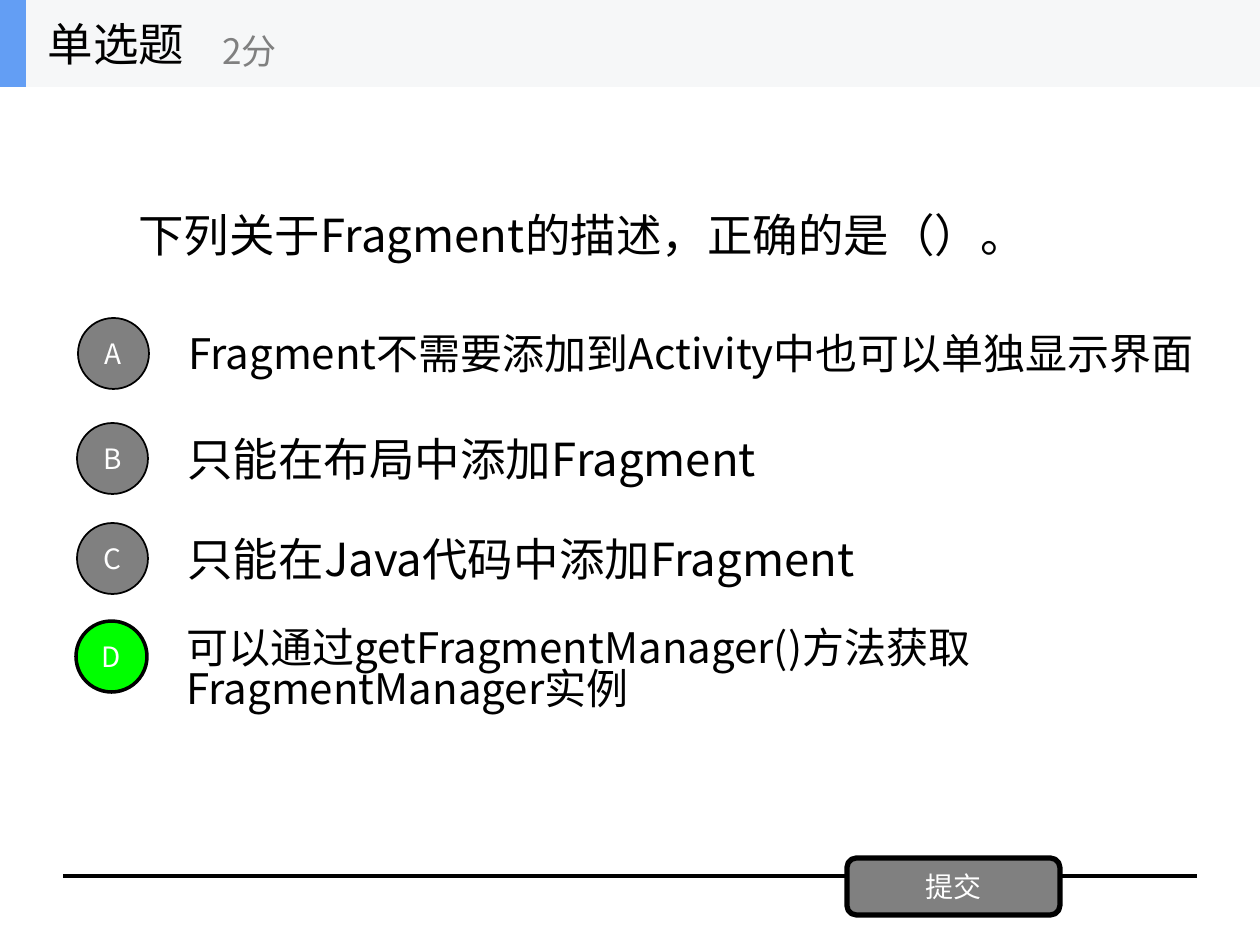
from pptx import Presentation
from pptx.dml.color import RGBColor
from pptx.enum.shapes import MSO_CONNECTOR, MSO_SHAPE
from pptx.enum.text import MSO_ANCHOR, MSO_AUTO_SIZE, PP_ALIGN
from pptx.oxml.ns import qn
from pptx.util import Emu, Inches, Pt
from lxml.etree import SubElement

BLACK, GREY, WHITE, GREEN = "000000", "808080", "FFFFFF", "00FF00"
PANEL, BLUE = "F6F7F8", "639EF4"


def px(num):
    return Emu(round(num * 914400 / 126))


def paint(fill, tone):
    fill.solid()
    fill.fore_color.rgb = RGBColor.from_string(tone)


class Quiz:
    """Draw the parts of a quiz slide in one style."""

    font = "Noto Sans CJK SC"

    def __init__(self, slide):
        self.slide = slide

    def letter(self, shape, lines, size, tone, align=PP_ALIGN.LEFT, wrap=False, pitch=None):
        frame = shape.text_frame
        frame.auto_size = MSO_AUTO_SIZE.NONE
        frame.word_wrap = wrap
        frame.vertical_anchor = MSO_ANCHOR.MIDDLE
        for i, line in enumerate(lines):
            para = frame.add_paragraph() if i else frame.paragraphs[0]
            para.alignment = align
            para.space_before = Pt(0)
            if pitch:
                para.line_spacing = pitch
            run = para.add_run()
            run.text = line
            run.font.size = Pt(size)
            run.font.name = self.font
            paint(run.font.fill, tone)
            SubElement(run._r.get_or_add_rPr(), qn("a:ea"), typeface=self.font)

    def text(self, box, lines, size, tone=BLACK, **style):
        shape = self.slide.shapes.add_textbox(*map(px, box))
        self.letter(shape, lines, size, tone, **style)

    def title(self, box, line, size):
        shape = self.slide.shapes.title
        shape.left, shape.top, shape.width, shape.height = map(px, box)
        self.letter(shape, [line], size, BLACK)
        shape.element.getparent().append(shape.element)

    def shape(self, kind, box, fill, edge=0, label=None):
        shape = self.slide.shapes.add_shape(kind, *map(px, box))
        shape.shadow.inherit = False
        paint(shape.fill, fill)
        if edge:
            paint(shape.line.fill, BLACK)
            shape.line.width = Pt(edge)
        else:
            shape.line.fill.background()
        if label:
            frame = shape.text_frame
            frame.margin_left = frame.margin_right = 0
            frame.margin_top = frame.margin_bottom = 0
            self.letter(shape, [label], 16, WHITE, PP_ALIGN.CENTER, True)

    def rule(self, left, right, top, width):
        line = self.slide.shapes.add_connector(
            MSO_CONNECTOR.STRAIGHT, px(left), px(top), px(right), px(top))
        paint(line.line.fill, BLACK)
        line.line.width = Pt(width)
        SubElement(line.element.spPr, qn("a:effectLst"))


def main():
    deck = Presentation()
    deck.slide_width, deck.slide_height = Inches(10), Inches(7.5)
    quiz = Quiz(deck.slides.add_slide(deck.slide_layouts[5]))

    quiz.rule(63, 1197, 876, 2.25)
    quiz.text((126, 87, 1008, 295), ["下列关于Fragment的描述，正确的是（）。"], 26, wrap=True)

    picks = [
        ("A", 78, 318, 88, 24, ["Fragment不需要添加到Activity中也可以单独显示界面"]),
        ("B", 77, 423, 88, 26, ["只能在布局中添加Fragment"]),
        ("C", 77, 523, 88, 26, ["只能在Java代码中添加Fragment"]),
        ("D", 76, 621, 120, 24, ["可以通过getFragmentManager()方法获取", "FragmentManager实例"]),
    ]
    for mark, left, top, high, size, lines in picks:
        right = mark == "D"
        quiz.text((left + 98, top - 9, 882, high), lines, size, pitch=0.8 if right else None)
        quiz.shape(MSO_SHAPE.OVAL, (left, top, 71, 71),
                   GREEN if right else GREY, 2 if right else 1, mark)
    quiz.shape(MSO_SHAPE.ROUNDED_RECTANGLE, (847, 858, 213, 57), GREY, 3, "提交")

    quiz.shape(MSO_SHAPE.RECTANGLE, (0, 0, 1260, 87), PANEL)
    quiz.shape(MSO_SHAPE.RECTANGLE, (0, 0, 26, 87), BLUE)
    quiz.title((35, 0, 262, 87), "单选题", 26)
    quiz.text((210, 15, 315, 71), ["2分"], 20, GREY)
    deck.save("out.pptx")


if __name__ == "__main__":
    main()
